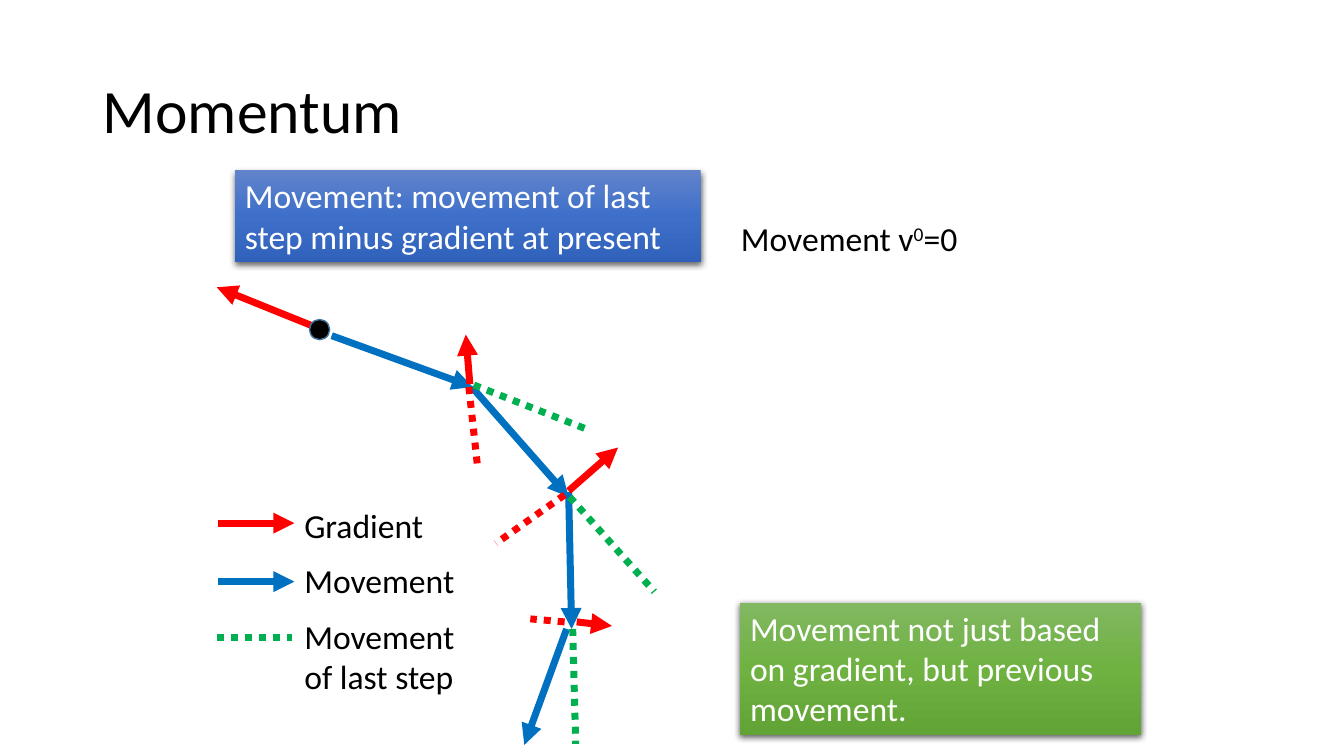
from lxml.etree import SubElement
from pptx import Presentation
from pptx.dml.color import RGBColor
from pptx.enum.dml import MSO_LINE
from pptx.enum.shapes import MSO_CONNECTOR, MSO_SHAPE
from pptx.enum.text import MSO_ANCHOR, MSO_AUTO_SIZE, PP_ALIGN
from pptx.oxml import parse_xml
from pptx.oxml.ns import nsdecls, qn
from pptx.util import Inches, Pt

BLACK = RGBColor(0x00, 0x00, 0x00)
WHITE = RGBColor(0xFF, 0xFF, 0xFF)
RED = RGBColor(0xFF, 0x00, 0x00)
BLUE = RGBColor(0x00, 0x70, 0xC0)
GREEN = RGBColor(0x00, 0xB0, 0x50)
DOT_OUTLINE = RGBColor(0x43, 0x73, 0x9E)
BLUE_SHADES = [RGBColor(0x61, 0x83, 0xCB), RGBColor(0x3E, 0x70, 0xCA), RGBColor(0x30, 0x62, 0xBB)]
GREEN_SHADES = [RGBColor(0x81, 0xB8, 0x61), RGBColor(0x6F, 0xB2, 0x42), RGBColor(0x62, 0xA3, 0x36)]

TITLE = "Momentum"
START_DOT = (3.07, 3.17, 0.2)
ARROWS = [
    (BLUE, (3.29, 3.33), (4.69, 3.84)),
    (BLUE, (4.68, 3.84), (5.64, 4.93)),
    (BLUE, (5.64, 4.88), (5.67, 6.24)),
    (BLUE, (5.62, 6.24), (5.2, 7.39)),
    (BLUE, (2.16, 5.77), (2.92, 5.77)),
    (RED, (2.16, 5.19), (2.92, 5.19)),
    (RED, (3.19, 3.27), (2.15, 2.85)),
    (RED, (4.66, 3.81), (4.62, 3.32)),
    (RED, (5.64, 4.87), (6.13, 4.44)),
    (RED, (5.72, 6.17), (6.07, 6.21)),
]
DOTTED_LINES = [
    (GREEN, (4.7, 3.82), (5.8, 4.25)),
    (RED, (4.65, 3.84), (4.74, 4.66)),
    (GREEN, (5.65, 4.93), (6.49, 5.87)),
    (RED, (5.6, 4.91), (4.92, 5.39)),
    (RED, (5.6, 6.17), (5.26, 6.14)),
    (GREEN, (5.68, 6.24), (5.71, 7.38)),
    (GREEN, (2.15, 6.32), (2.9, 6.32)),
]
INITIAL_MOVEMENT = [[("Movement v", False), ("0", True), ("=0", False)]]
LEGEND = [
    (2.1, 0.5, ["Gradient"]),
    (2.1, 0.5, ["Movement"]),
    (3.31, 0.91, ["Movement", "of last step"]),
]
LEGEND_LEFT, LEGEND_TOP, LEGEND_STEP = 2.92, 4.96, 0.55
CALLOUTS = [
    ((7.34, 5.98, 3.98, 1.31), GREEN_SHADES,
     "Movement not just based on gradient, but previous movement."),
    ((2.33, 1.69, 4.62, 0.91), BLUE_SHADES,
     "Movement: movement of last step minus gradient at present"),
]


def write_text(frame, lines, color, size=24):
    frame.word_wrap = True
    for index, runs in enumerate(lines):
        paragraph = frame.paragraphs[0] if index == 0 else frame.add_paragraph()
        paragraph.alignment = PP_ALIGN.LEFT
        for text, raised in runs:
            run = paragraph.add_run()
            run.text = text
            run.font.name = "Calibri"
            run.font.size = Pt(size)
            run.font.color.rgb = color
            if raised:
                run.font._element.set("baseline", "30000")


def add_label(slide, box, lines):
    label = slide.shapes.add_textbox(*map(Inches, box))
    write_text(label.text_frame, lines, BLACK)


def add_line(slide, color, start, end, dotted):
    connector = slide.shapes.add_connector(
        MSO_CONNECTOR.STRAIGHT, *map(Inches, start + end))
    connector.line.color.rgb = color
    connector.line.width = Pt(5)
    if dotted:
        connector.line.dash_style = MSO_LINE.ROUND_DOT
    else:
        SubElement(connector.line._get_or_add_ln(), qn("a:tailEnd"), type="triangle")
    SubElement(connector._element.spPr, qn("a:effectLst"))


def add_callout(slide, box, shades, text):
    callout = slide.shapes.add_shape(MSO_SHAPE.RECTANGLE, *map(Inches, box))
    callout.line.fill.background()
    callout.shadow.inherit = False
    stops = "".join(
        f'<a:gs pos="{index * 50000}"><a:srgbClr val="{shade}"/></a:gs>'
        for index, shade in enumerate(shades))
    properties = callout._element.spPr
    properties.find(qn("a:prstGeom")).addnext(parse_xml(
        f'<a:gradFill {nsdecls("a")} rotWithShape="1"><a:gsLst>{stops}</a:gsLst>'
        '<a:lin ang="5400000" scaled="0"/></a:gradFill>'))
    properties.find(qn("a:effectLst")).append(parse_xml(
        f'<a:outerShdw {nsdecls("a")} blurRad="57150" dist="19050" dir="5400000" '
        'algn="ctr" rotWithShape="0"><a:srgbClr val="000000">'
        '<a:alpha val="63000"/></a:srgbClr></a:outerShdw>'))
    callout.text_frame.vertical_anchor = MSO_ANCHOR.TOP
    write_text(callout.text_frame, [[(text, False)]], WHITE)


def main():
    presentation = Presentation()
    presentation.slide_width = Inches(13.33)
    presentation.slide_height = Inches(7.5)
    slide = presentation.slides.add_slide(presentation.slide_layouts[5])

    title = slide.shapes.title
    title.left, title.top, title.width, title.height = map(Inches, (0.92, 0.4, 11.5, 1.45))
    title.text_frame.vertical_anchor = MSO_ANCHOR.MIDDLE
    title.text_frame.auto_size = MSO_AUTO_SIZE.NONE
    write_text(title.text_frame, [[(TITLE, False)]], BLACK, 44)
    title.text_frame.paragraphs[0].line_spacing = 0.9

    add_label(slide, (7.25, 2.11, 2.82, 0.5), INITIAL_MOVEMENT)
    for color, start, end in ARROWS:
        add_line(slide, color, start, end, dotted=False)

    left, top, diameter = map(Inches, START_DOT)
    dot = slide.shapes.add_shape(MSO_SHAPE.OVAL, left, top, diameter, diameter)
    dot.shadow.inherit = False
    dot.fill.solid()
    dot.fill.fore_color.rgb = BLACK
    dot.line.color.rgb = DOT_OUTLINE
    dot.line.width = Pt(1)

    for color, start, end in DOTTED_LINES:
        add_line(slide, color, start, end, dotted=True)
    for index, (width, height, lines) in enumerate(LEGEND):
        box = (LEGEND_LEFT, LEGEND_TOP + index * LEGEND_STEP, width, height)
        add_label(slide, box, [[(line, False)] for line in lines])
    for box, shades, text in CALLOUTS:
        add_callout(slide, box, shades, text)

    presentation.save("out.pptx")


if __name__ == "__main__":
    main()
